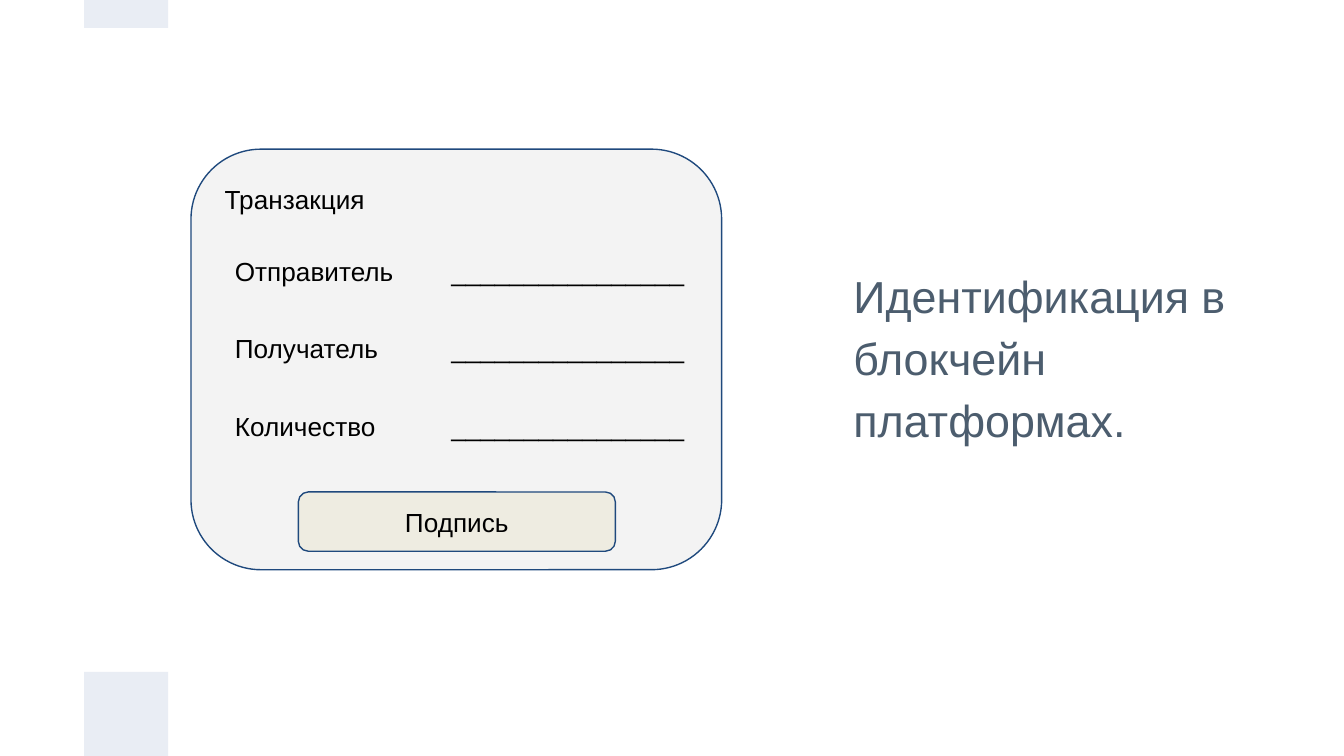
from pptx import Presentation
from pptx.dml.color import RGBColor
from pptx.enum.shapes import MSO_SHAPE
from pptx.enum.text import MSO_ANCHOR, PP_ALIGN
from pptx.util import Cm, Pt


def add_block(page, kind, left, top, width, height, fill, line=None):
    block = page.shapes.add_shape(kind, Cm(left), Cm(top), Cm(width), Cm(height))
    block.shadow.inherit = False
    block.fill.solid()
    block.fill.fore_color.rgb = RGBColor.from_string(fill)
    if line:
        block.line.color.rgb = RGBColor.from_string(line)
        block.line.width = Pt(0.75)
    else:
        block.line.fill.background()
    return block


def write(box, text, size=14, color="000000", align=PP_ALIGN.LEFT,
          anchor=MSO_ANCHOR.TOP, spacing=1.0, bottom=0.25):
    frame = box.text_frame
    frame.word_wrap = True
    frame.vertical_anchor = anchor
    frame.margin_left = frame.margin_right = frame.margin_top = Cm(0.25)
    frame.margin_bottom = Cm(bottom)
    para = frame.paragraphs[0]
    para.alignment = align
    para.line_spacing = spacing
    span = para.add_run()
    span.text = text
    span.font.name = "Arial"
    span.font.size = Pt(size)
    span.font.color.rgb = RGBColor.from_string(color)


deck = Presentation()
deck.slide_width, deck.slide_height = Cm(25.4), Cm(14.29)
page = deck.slides.add_slide(deck.slide_layouts[6])

# Transaction card
card = add_block(page, MSO_SHAPE.ROUNDED_RECTANGLE, 3.61, 2.82, 10.03, 7.95,
                 "F3F3F3", "1F497D")
write(card, "Транзакция")

# Title, with extra bottom margin to lift it above the middle
title = page.shapes.add_textbox(Cm(15.88), Cm(1.57), Cm(7.92), Cm(11.1))
write(title, "Идентификация в блокчейн платформах.", size=24, color="4C5D6E",
      anchor=MSO_ANCHOR.MIDDLE, spacing=1.15, bottom=1.12)

# Decorative blocks at the bottom and top edges
for top, height in ((12.7, 1.59), (0, 0.53)):
    add_block(page, MSO_SHAPE.RECTANGLE, 1.59, top, 1.59, height, "E9EDF4")

# Form rows: label and blank to fill in
for row, label in enumerate(("Отправитель", "Получатель", "Количество")):
    for text, left, width in ((label, 4.19, 9.07), ("_" * 16, 8.28, 5)):
        box = page.shapes.add_textbox(Cm(left), Cm(4.57 + row * 1.47),
                                      Cm(width), Cm(1.12))
        write(box, text)

# Signature button
button = add_block(page, MSO_SHAPE.ROUNDED_RECTANGLE, 5.64, 9.3, 5.99, 1.12,
                   "EEECE1", "1F497D")
write(button, "Подпись", align=PP_ALIGN.CENTER, anchor=MSO_ANCHOR.MIDDLE)

deck.save("out.pptx")
